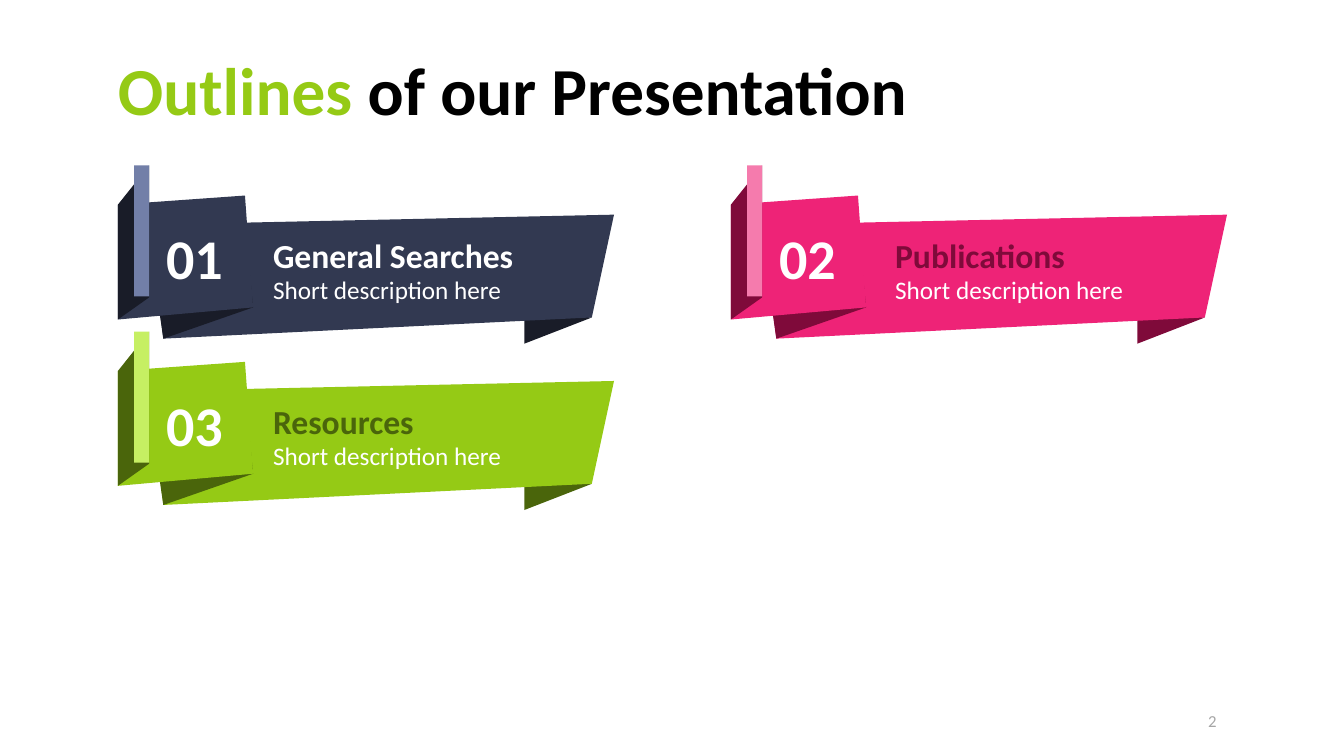
from pptx import Presentation
from pptx import util as u
from pptx.dml.color import RGBColor
from pptx.enum import shapes, text

THEME = dict(font="Calibri", white="FFFFFF", black="000000", grey="A6A6A6", accent="95CA15",
             title=48, number=40, heading=24, body=18, page=12)

# Banner grid: first cell origin and pitch, in inches
LEFT, TOP, COL, ROW = 1.17, 1.64, 6.08, 1.65
TEXT_LEFT, TEXT_COL = 2.61, 6.17

# column, row, number, heading, heading colour, main, dark and light colour
BANNERS = [
    (0, 0, "01", "General Searches", "FFFFFF", "323951", "191C28", "727FA8"),
    (0, 1, "03", "Resources", "4A650B", "95CA15", "4A650B", "C6EF63"),
    (1, 0, "02", "Publications", "7F0A3A", "EE2377", "7F0A3A", "F57BAD"),
]

# Outlines within a cell, from back to front; the number sits on the tab
PARTS = [
    ("tail", "dark", [(4.7, 1.51), (4.03, 1.77), (4.03, 1.46)]),
    ("ribbon", "main", [(4.7, 1.51), (0.45, 1.72), (0.31, 0.59), (4.92, 0.49)]),
    ("fold", "dark", [(0.45, 1.72), (1.34, 1.41), (1.26, 0.57), (0.36, 1.1)]),
    ("tab", "main", [(1.34, 1.41), (1.26, 0.3), (0, 0.39), (0, 1.53)]),
    ("side", "dark", [(0, 0.39), (0.31, 0), (0.31, 1.31), (0, 1.53)]),
    ("bar", "light", [(0.16, 0), (0.31, 0), (0.31, 1.3), (0.16, 1.3)]),
]

prs = Presentation()
prs.slide_width, prs.slide_height = u.Inches(13.33), u.Inches(7.5)
s = prs.slides.add_slide(prs.slide_layouts[5])


def write(sp, runs, size, bold=False, align=text.PP_ALIGN.LEFT,
          anchor=text.MSO_ANCHOR.MIDDLE, insets=(0.1, 0.05, 0.1, 0.05)):
    """Fill a shape with one paragraph of (wording, colour) runs."""
    tf = sp.text_frame
    tf.word_wrap, tf.auto_size, tf.vertical_anchor = True, text.MSO_AUTO_SIZE.NONE, anchor
    tf.margin_left, tf.margin_top, tf.margin_right, tf.margin_bottom = map(u.Inches, insets)
    p = tf.paragraphs[0]
    p.alignment = align
    for wording, colour in runs:
        r = p.add_run()
        r.text = wording
        r.font.name, r.font.size, r.font.bold = THEME["font"], u.Pt(size), bold
        r.font.color.rgb = RGBColor.from_string(colour)
    return p


def paint(sp, colour):
    """Flat fill without line or shadow."""
    sp.shadow.inherit = False
    sp.fill.solid()
    sp.fill.fore_color.rgb = RGBColor.from_string(colour)
    sp.line.fill.background()


# Title
title = s.shapes.title
title.left, title.top, title.width, title.height = map(u.Inches, (0.92, 0.31, 11.5, 1.24))
p = write(title, [("Outlines ", THEME["accent"]), ("of our Presentation", THEME["black"])],
          THEME["title"], True, insets=(0.25, 0.05, 0.1, 0.05))
p.line_spacing = 0.9

# Slide number
page = s.shapes.add_textbox(*map(u.Inches, (11.63, 6.95, 0.79, 0.4)))
write(page, [("2", THEME["grey"])], THEME["page"], align=text.PP_ALIGN.CENTER)

# Folded banners
for col, row, number, heading, heading_colour, main, dark, light in BANNERS:
    x, y = LEFT + col * COL, TOP + row * ROW
    colours = dict(main=main, dark=dark, light=light)
    for name, tone, outline in PARTS:
        if name == "bar":
            (x0, y0), (x1, y1) = outline[0], outline[2]
            sp = s.shapes.add_shape(shapes.MSO_SHAPE.RECTANGLE,
                                    *map(u.Inches, (x + x0, y + y0, x1 - x0, y1 - y0)))
        else:
            points = [(u.Inches(x + dx), u.Inches(y + dy)) for dx, dy in outline]
            fb = s.shapes.build_freeform(*points[0])
            fb.add_line_segments(points[1:], close=True)
            sp = fb.convert_to_shape()
        paint(sp, colours[tone])
        if name == "tab":
            write(sp, [(number, THEME["white"])], THEME["number"], True,
                  text.PP_ALIGN.RIGHT, insets=(0.1, 0.05, 0.3, 0.05))

    # Heading and description
    for dy, height, wording, colour, size, bold, inset in [
            (0.49, 0.61, heading, heading_colour, THEME["heading"], True, 0.2),
            (1.08, 0.3, "Short description here", THEME["white"], THEME["body"], False, 0)]:
        tb = s.shapes.add_textbox(*map(u.Inches, (TEXT_LEFT + col * TEXT_COL, y + dy, 3.26, height)))
        write(tb, [(wording, colour)], size, bold,
              anchor=text.MSO_ANCHOR.TOP, insets=(0.1, inset, 0.1, 0))

prs.save("out.pptx")
